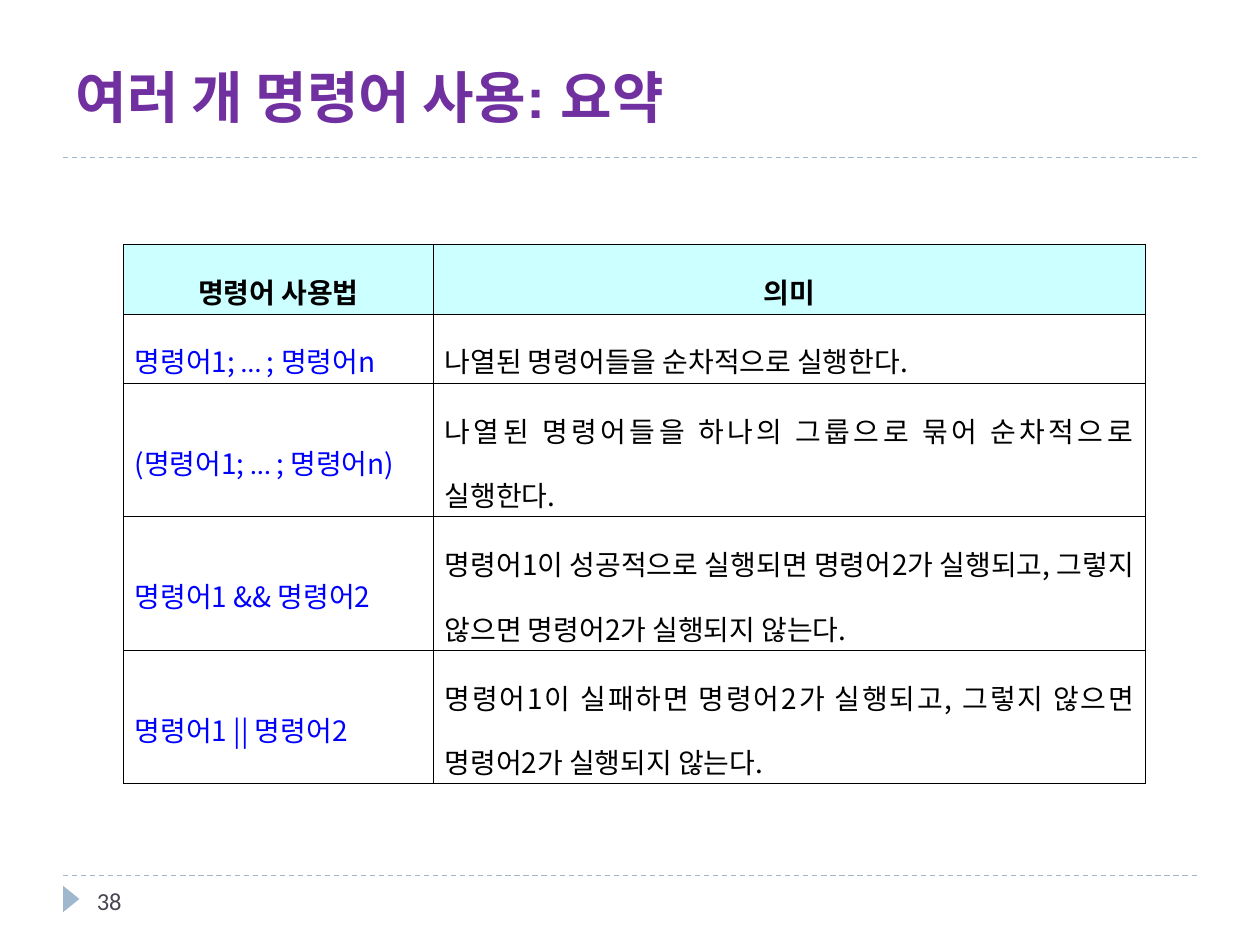
from itertools import groupby

from lxml import etree
from pptx import Presentation
from pptx.dml.color import RGBColor
from pptx.enum.dml import MSO_LINE
from pptx.enum.shapes import MSO_CONNECTOR, MSO_SHAPE
from pptx.enum.text import MSO_ANCHOR, PP_ALIGN
from pptx.oxml.ns import qn
from pptx.util import Inches, Pt

STRAIGHT = MSO_CONNECTOR.STRAIGHT
TRIANGLE = MSO_SHAPE.ISOSCELES_TRIANGLE
DASH = MSO_LINE.DASH
MIDDLE, BOTTOM = MSO_ANCHOR.MIDDLE, MSO_ANCHOR.BOTTOM
LEFT, CENTER, JUSTIFY = PP_ALIGN.LEFT, PP_ALIGN.CENTER, PP_ALIGN.JUSTIFY

HEADERS = ["명령어 사용법", "의미"]
COMMANDS = [
    ("명령어1; … ; 명령어n", "나열된 명령어들을 순차적으로 실행한다."),
    ("(명령어1; … ; 명령어n)",
     "나열된 명령어들을 하나의 그룹으로 묶어 순차적으로 실행한다."),
    ("명령어1 && 명령어2",
     "명령어1이 성공적으로 실행되면 명령어2가 실행되고, 그렇지 않으면 명령어2가 실행되지 않는다."),
    ("명령어1 || 명령어2",
     "명령어1이 실패하면 명령어2가 실행되고, 그렇지 않으면 명령어2가 실행되지 않는다."),
]


def color(value):
    return RGBColor.from_string(value)


def split_scripts(text):
    marked = []
    ascii_now = text[0].isascii()
    for letter in text:
        if letter != " ":
            ascii_now = letter.isascii()
        marked.append((ascii_now, letter))
    for is_ascii, group in groupby(marked, key=lambda pair: pair[0]):
        yield is_ascii, "".join(letter for _, letter in group)


class SlideBuilder:
    heading_font = "Arial"
    body_font = "Calibri"
    korean_font = "Noto Sans CJK KR"
    accent = "9FB8CD"
    black = "000000"

    def __init__(self, page):
        self.page = page

    def format(self, span, size, font, ink, bold=False):
        span.font.size = Pt(size)
        span.font.name = font
        span.font.bold = bold
        span.font.color.rgb = color(ink)
        properties = span.font._element
        east_asian = etree.SubElement(properties, qn("a:ea"))
        east_asian.set("typeface", self.korean_font)

    def title(self, text, left, top, width, height):
        box = self.page.shapes.title
        box.left, box.top = Inches(left), Inches(top)
        box.width, box.height = Inches(width), Inches(height)
        frame = box.text_frame
        frame.text = text
        frame.vertical_anchor = BOTTOM
        para = frame.paragraphs[0]
        para.alignment = LEFT
        self.format(para.runs[0], 32, self.heading_font, "7030A0", True)

    def divider(self, left, right, top):
        line = self.page.shapes.add_connector(
            STRAIGHT, Inches(left), Inches(top), Inches(right), Inches(top))
        line.line.color.rgb = color(self.accent)
        line.line.width = Pt(0.75)
        line.line.dash_style = DASH
        etree.SubElement(line._element.spPr, qn("a:effectLst"))

    def marker(self, left, top, width, height):
        shape = self.page.shapes.add_shape(
            TRIANGLE, Inches(left), Inches(top), Inches(width), Inches(height))
        shape.rotation = 90
        shape.shadow.inherit = False
        shape.fill.solid()
        shape.fill.fore_color.rgb = color(self.accent)
        shape.line.fill.background()

    def page_number(self, text, left, top, width, height):
        box = self.page.shapes.add_textbox(
            Inches(left), Inches(top), Inches(width), Inches(height))
        frame = box.text_frame
        frame.word_wrap = True
        frame.vertical_anchor = MIDDLE
        frame.text = text
        self.format(frame.paragraphs[0].runs[0], 14, self.body_font, "464653")

    def borders(self, cell):
        properties = cell._tc.get_or_add_tcPr()
        for position, side in enumerate(("lnL", "lnR", "lnT", "lnB")):
            line = etree.Element(qn(f"a:{side}"), w=str(Pt(0.28)))
            fill = etree.SubElement(line, qn("a:solidFill"))
            etree.SubElement(fill, qn("a:srgbClr"), val=self.black)
            properties.insert(position, line)

    def cell(self, cell, fill):
        cell.margin_left = cell.margin_right = Inches(0.02)
        cell.margin_top = cell.margin_bottom = Inches(0.02)
        cell.vertical_anchor = MIDDLE
        cell.fill.solid()
        cell.fill.fore_color.rgb = color(fill)
        self.borders(cell)
        para = cell.text_frame.paragraphs[0]
        para.line_spacing = 1.6
        return para

    def header_cell(self, cell, text):
        para = self.cell(cell, "CCFFFF")
        para.text = text
        para.alignment = CENTER
        self.format(para.runs[0], 16, self.heading_font, self.black, True)

    def body_cell(self, cell, text, ink):
        para = self.cell(cell, "FFFFFF")
        para.alignment = JUSTIFY
        properties = para._p.get_or_add_pPr()
        for side in ("marL", "marR"):
            properties.set(side, str(Inches(0.07)))
        properties.set("indent", "0")
        for is_ascii, part in split_scripts(text):
            span = para.add_run()
            span.text = part
            font = self.korean_font if is_ascii else self.body_font
            self.format(span, 16, font, ink)

    def table(self, left, top, widths, heights, headers, rows):
        grid = self.page.shapes.add_table(
            len(heights), len(widths), Inches(left), Inches(top),
            Inches(sum(widths)), Inches(sum(heights))).table
        for column, width in zip(grid.columns, widths):
            column.width = Inches(width)
        for row, height in zip(grid.rows, heights):
            row.height = Inches(height)
        for index, text in enumerate(headers):
            self.header_cell(grid.cell(0, index), text)
        for index, (command, meaning) in enumerate(rows, 1):
            self.body_cell(grid.cell(index, 0), command, "0000FF")
            self.body_cell(grid.cell(index, 1), meaning, self.black)


def main():
    deck = Presentation()
    deck.slide_width, deck.slide_height = Inches(10), Inches(7.5)
    builder = SlideBuilder(deck.slides.add_slide(deck.slide_layouts[5]))
    for top in (6.95, 1.25):
        builder.divider(0.5, 9.5, top)
    builder.marker(0.46, 7.07, 0.21, 0.13)
    builder.title("여러 개 명령어 사용: 요약", 0.5, 0.17, 9, 0.91)
    builder.page_number("38", 0.67, 6.95, 2.17, 0.4)
    builder.table(0.98, 1.94, [2.46, 5.65], [0.55] * 2 + [1.06] * 3,
                  HEADERS, COMMANDS)
    deck.save("out.pptx")


if __name__ == "__main__":
    main()
